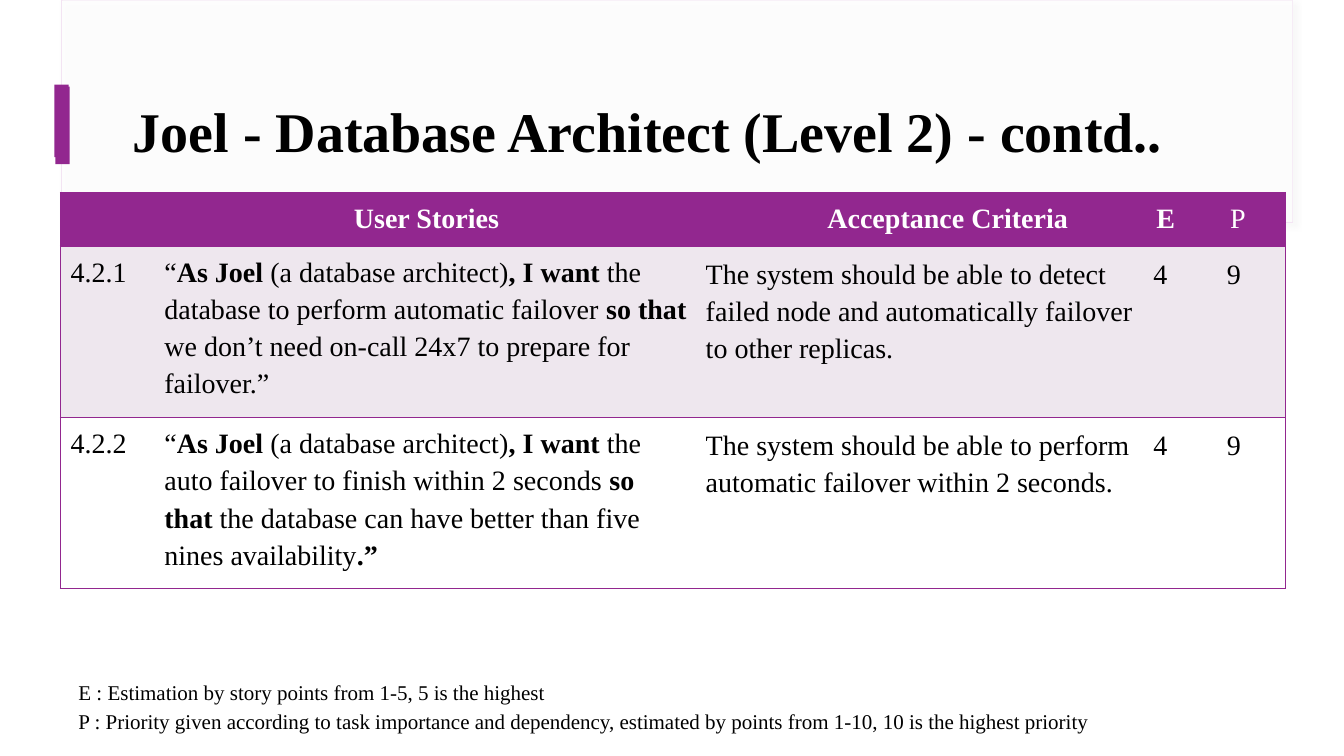
from dataclasses import dataclass
from typing import NamedTuple, Optional

from lxml.etree import SubElement
from pptx import Presentation
from pptx.dml.color import RGBColor
from pptx.enum.shapes import MSO_SHAPE
from pptx.enum.text import MSO_ANCHOR, PP_ALIGN
from pptx.oxml import parse_xml
from pptx.oxml.ns import nsdecls, qn
from pptx.util import Inches, Pt


@dataclass(frozen=True)
class Theme:
    font: str = "Times New Roman"
    purple: str = "92278F"
    pale: str = "EEE7EE"
    white: str = "FFFFFF"
    black: str = "000000"
    edge: str = "F3E4F3"
    shadow: str = "D8D8D8"
    title_size: int = 40
    table_size: int = 20
    note_size: int = 15


THEME = Theme()


class Box(NamedTuple):
    left: float
    top: float
    width: float
    height: float

    def lengths(self) -> list:
        return [Inches(value) for value in self]


class Panel(NamedTuple):
    box: Box
    fill: str
    opacity: int = 100
    line: Optional[str] = None
    shadow: Optional[str] = None


class Caption(NamedTuple):
    box: Box
    lines: list
    size: int
    bold: bool
    inset: float
    anchor: MSO_ANCHOR
    space_after: int


class Column(NamedTuple):
    width: float
    heading: str
    align: PP_ALIGN = PP_ALIGN.LEFT
    indent: float = 0
    body_inset: tuple = (0.07, 0.07)


TEXT_INSET = (0.1, 0.05)

PANELS = [
    Panel(Box(0.61, 0, 12.21, 2.21), THEME.white, 49, THEME.edge, THEME.shadow),
    Panel(Box(0.62, 0, 12.2, 2.2), THEME.white, 49),
    Panel(Box(0.55, 0.86, 0.14, 0.77), THEME.purple),
    Panel(Box(0.54, 0.84, 0.14, 0.72), THEME.purple),
]

TITLE = Caption(
    Box(1.22, 0.6, 11.12, 1.29),
    ["Joel - Database Architect (Level 2) - contd.."],
    THEME.title_size, True, 0.05, MSO_ANCHOR.MIDDLE, 16,
)
LEGEND = Caption(
    Box(0.68, 6.6, 11.97, 0.72),
    [
        "E : Estimation by story points from 1-5, 5 is the highest",
        "P : Priority given according to task importance and dependency, "
        "estimated by points from 1-10, 10 is the highest priority",
    ],
    THEME.note_size, False, 0.1, MSO_ANCHOR.TOP, 0,
)

COLUMNS = [
    Column(0.93, "", body_inset=TEXT_INSET),
    Column(5.4, "**User Stories**", PP_ALIGN.CENTER, body_inset=TEXT_INSET),
    Column(4.44, "**Acceptance Criteria**", PP_ALIGN.CENTER, 0.5),
    Column(0.73, "**E**"),
    Column(0.65, "P"),
]
STORIES = [
    [
        "4.2.1",
        "“**As Joel **(a database architect)**, I want **the database to perform "
        "automatic failover **so that** we don’t need on-call 24x7 to prepare for failover.”",
        "The system should be able to detect failed node and automatically "
        "failover to other replicas.",
        "4",
        "9",
    ],
    [
        "4.2.2",
        "“**As Joel **(a database architect)**, I want **the auto failover to finish "
        "within 2 seconds **so that **the database can have better than five nines "
        "availability**.”**",
        "The system should be able to perform automatic failover within 2 seconds.",
        "4",
        "9",
    ],
]
TABLE_LEFT, TABLE_TOP = 0.6, 1.91
ROW_HEIGHTS = [0.53, 1.58, 1.58]


def apply(target, values: dict) -> None:
    for name, value in values.items():
        setattr(target, name, value)


def add_span(para, text: str, size: int, color: str, bold: bool) -> None:
    span = para.add_run()
    span.text = text
    apply(span.font, {"name": THEME.font, "size": Pt(size), "bold": bold})
    span.font.color.rgb = RGBColor.from_string(color)


def add_panel(page, panel: Panel) -> None:
    shape = page.shapes.add_shape(MSO_SHAPE.RECTANGLE, *panel.box.lengths())
    shape.shadow.inherit = False
    shape.fill.solid()
    shape.fill.fore_color.rgb = RGBColor.from_string(panel.fill)
    properties = shape.fill._xPr
    if panel.opacity < 100:
        color = properties.find(qn("a:solidFill"))[0]
        SubElement(color, qn("a:alpha"), val=str(panel.opacity * 1000))
    if panel.line:
        shape.line.color.rgb = RGBColor.from_string(panel.line)
        shape.line.width = Pt(0.75)
    else:
        shape.line.fill.background()
    if panel.shadow:
        properties.find(qn("a:effectLst")).append(parse_xml(
            f'<a:outerShdw {nsdecls("a")} blurRad="{Pt(4)}" dist="{Pt(3)}" dir="2700000">'
            f'<a:srgbClr val="{panel.shadow}"><a:alpha val="29000"/></a:srgbClr></a:outerShdw>'
        ))


def add_caption(page, caption: Caption) -> None:
    frame = page.shapes.add_textbox(*caption.box.lengths()).text_frame
    apply(frame, {
        "word_wrap": True, "vertical_anchor": caption.anchor,
        "margin_left": Inches(0.1), "margin_right": Inches(0.1),
        "margin_top": Inches(caption.inset), "margin_bottom": Inches(caption.inset),
    })
    for index, line in enumerate(caption.lines):
        para = frame.add_paragraph() if index else frame.paragraphs[0]
        apply(para, {"line_spacing": 1.15, "space_after": Pt(caption.space_after)})
        add_span(para, line, caption.size, THEME.black, caption.bold)


def set_borders(cell, first: bool, last: bool) -> None:
    properties = cell._tc.get_or_add_tcPr()
    sides = {"lnL": first, "lnR": last, "lnT": True, "lnB": True}
    for index, (side, drawn) in enumerate(sides.items()):
        color = f'<a:solidFill><a:srgbClr val="{THEME.purple}"/></a:solidFill>'
        paint = color if drawn else "<a:noFill/>"
        border = f'<a:{side} {nsdecls("a")} w="{Pt(1)}">{paint}</a:{side}>'
        properties.insert(index, parse_xml(border))


def fill_cell(cell, text: str, column: Column, heading: bool, fill: str) -> None:
    across, down = TEXT_INSET if heading else column.body_inset
    indent = column.indent if heading else 0
    apply(cell, {
        "margin_left": Inches(across + indent), "margin_right": Inches(across),
        "margin_top": Inches(down), "margin_bottom": Inches(down),
    })
    cell.fill.solid()
    cell.fill.fore_color.rgb = RGBColor.from_string(fill)
    para = cell.text_frame.paragraphs[0]
    align = column.align if heading else PP_ALIGN.LEFT
    apply(para, {"line_spacing": 1.2, "alignment": align})
    color = THEME.white if heading else THEME.black
    for index, part in enumerate(text.split("**")):
        if part:
            add_span(para, part, THEME.table_size, color, index % 2 == 1)


def add_stories(page) -> None:
    rows = [[column.heading for column in COLUMNS], *STORIES]
    fills = [THEME.purple, THEME.pale, THEME.white]
    width = sum(column.width for column in COLUMNS)
    box = Box(TABLE_LEFT, TABLE_TOP, width, sum(ROW_HEIGHTS))
    table = page.shapes.add_table(len(rows), len(COLUMNS), *box.lengths()).table
    apply(table, {"first_row": False, "horz_banding": False})
    for index, column in enumerate(COLUMNS):
        table.columns[index].width = Inches(column.width)
    for row, (texts, fill, height) in enumerate(zip(rows, fills, ROW_HEIGHTS)):
        table.rows[row].height = Inches(height)
        for index, (text, column) in enumerate(zip(texts, COLUMNS)):
            cell = table.cell(row, index)
            fill_cell(cell, text, column, row == 0, fill)
            set_borders(cell, index == 0, index == len(COLUMNS) - 1)


def main() -> None:
    deck = Presentation()
    apply(deck, {"slide_width": Inches(13.33), "slide_height": Inches(7.5)})
    page = deck.slides.add_slide(deck.slide_layouts[6])
    for panel in PANELS:
        add_panel(page, panel)
    add_caption(page, TITLE)
    add_stories(page)
    add_caption(page, LEGEND)
    deck.save("out.pptx")


if __name__ == "__main__":
    main()
